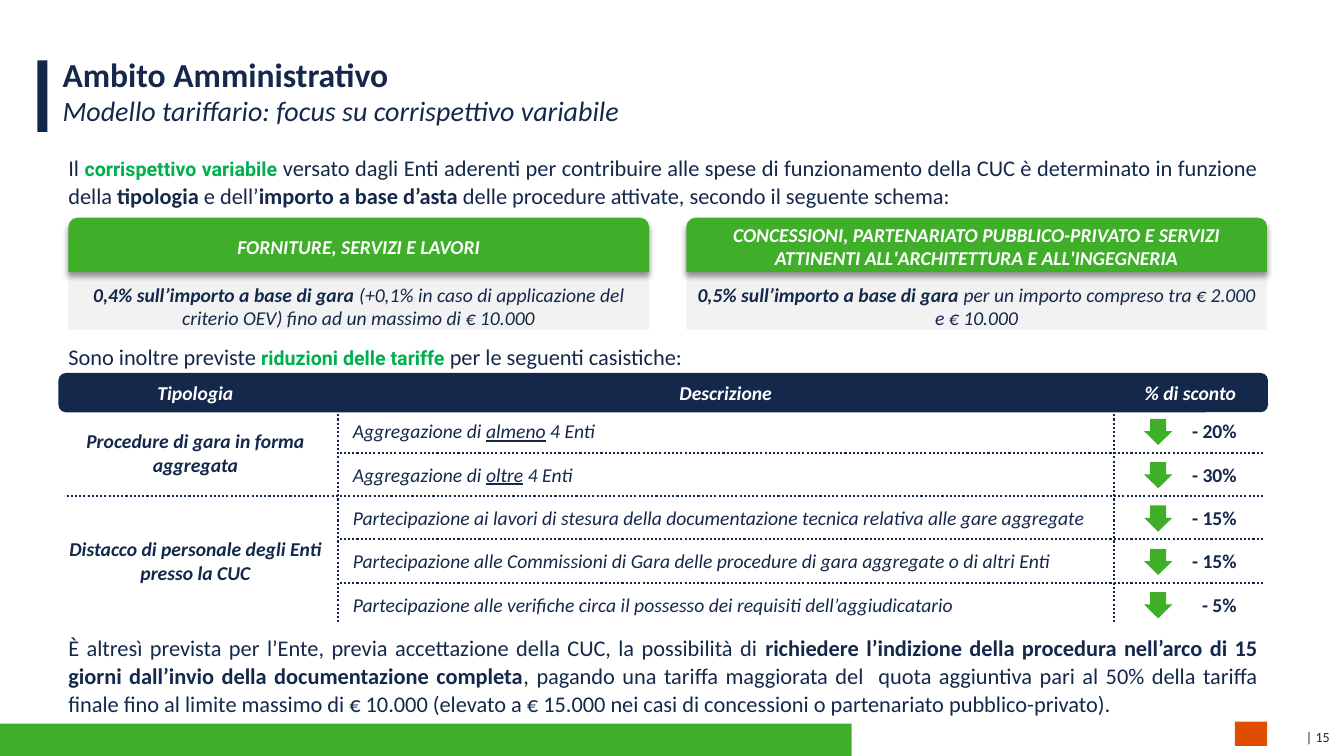
from dataclasses import dataclass

from lxml import etree
from pptx import Presentation
from pptx import util as u
from pptx.dml.color import RGBColor
from pptx.enum import dml, shapes, text
from pptx.oxml import ns


@dataclass(frozen=True)
class Theme:
    navy: str = "14284B"
    green: str = "3FAE29"
    accent: str = "00B050"
    pale: str = "F2F2F2"
    white: str = "FFFFFF"
    mark: str = "E04C00"
    font: str = "Calibri"
    accent_font: str = "Roboto"
    title: int = 24
    subtitle: int = 20
    body: int = 16
    label: int = 14
    footer: int = 10


theme = Theme()
STYLES = {
    "title": dict(size=theme.title, bold=True),
    "subtitle": dict(size=theme.subtitle, italic=True),
    "body": dict(size=theme.body),
    "strong": dict(size=theme.body, bold=True),
    "accent": dict(size=theme.label, bold=True, color=theme.accent, font=theme.accent_font),
    "head": dict(size=theme.label, bold=True, italic=True, color=theme.white),
    "key": dict(size=theme.label, bold=True, italic=True),
    "note": dict(size=theme.label, italic=True),
    "under": dict(size=theme.label, italic=True, underline=True),
    "value": dict(size=theme.label, bold=True),
    "footer": dict(size=theme.footer),
}

TITLE = ("Ambito Amministrativo", "title")
SUBTITLE = ("Modello tariffario: focus su corrispettivo variabile", "subtitle")
PAGE = [("| 15", "footer")]
PARAGRAPHS = [
    (1.47, 0.66, [
        ("Il ", "body"),
        ("corrispettivo variabile", "accent"),
        (" versato dagli Enti aderenti per contribuire alle spese di funzionamento della CUC "
         "è determinato in funzione della ", "body"),
        ("tipologia ", "strong"),
        ("e dell’", "body"),
        ("importo a base d’asta", "strong"),
        (" delle procedure attivate, secondo il seguente schema:", "body"),
    ]),
    (3.34, 0.38, [
        ("Sono inoltre previste ", "body"),
        ("riduzioni delle tariffe ", "accent"),
        ("per le seguenti casistiche:", "body"),
    ]),
    (6.23, 0.94, [
        ("È altresì prevista per l’Ente, previa accettazione della CUC, la possibilità di ", "body"),
        ("richiedere l’indizione della procedura nell’arco di 15 giorni dall’invio della "
         "documentazione completa", "strong"),
        (", pagando una tariffa maggiorata del  quota aggiuntiva pari al 50% della tariffa finale "
         "fino al limite massimo di € 10.000 (elevato a € 15.000 nei casi di concessioni o "
         "partenariato pubblico-privato).", "body"),
    ]),
]
CARDS = [
    ("FORNITURE, SERVIZI E LAVORI",
     "0,4% sull’importo a base di gara ",
     "(+0,1% in caso di applicazione del criterio OEV) fino ad un massimo di € 10.000"),
    ("CONCESSIONI, PARTENARIATO PUBBLICO-PRIVATO E SERVIZI ATTINENTI ALL'ARCHITETTURA E "
     "ALL'INGEGNERIA",
     "0,5% sull’importo a base di gara ",
     "per un importo compreso tra € 2.000 e € 10.000"),
]
HEADINGS = ["Tipologia", "Descrizione", "% di sconto"]
GROUPS = [
    ("Procedure di gara in forma aggregata", [
        ([("Aggregazione di ", "note"), ("almeno", "under"), (" 4 Enti", "note")], "- 20%"),
        ([("Aggregazione di ", "note"), ("oltre", "under"), (" 4 Enti", "note")], "- 30%"),
    ]),
    ("Distacco di personale degli Enti presso la CUC", [
        ([("Partecipazione ai lavori di stesura della documentazione tecnica relativa alle gare "
           "aggregate", "note")], "- 15%"),
        ([("Partecipazione alle Commissioni di Gara delle procedure di gara aggregate o di altri "
           "Enti", "note")], "- 15%"),
        ([("Partecipazione alle verifiche circa il possesso dei requisiti dell’aggiudicatario",
           "note")], "- 5%"),
    ]),
]

WIDTH, HEIGHT = 40 / 3, 7.5
LEFT, CONTENT = 0.58, 12
CARD_LEFT, CARD_TOP, CARD_WIDTH, CARD_STEP = 0.68, 2.16, 5.76, 6.13
TABLE_LEFT, TABLE_TOP, HEAD_ROW, ROW = 0.66, 3.74, 0.33, 0.43
COLUMNS = [2.69, 7.7, 1.48]
MARGINS = [(0.02, 0.15), (0.15, 0.15), (0.04, 0.26)]
HEAD_MARGINS = MARGINS[:2] + [(0.04, 0)]
RULE_TOP, RULE_START, RULE_END = 4.06, 4.11, 6.19
ARROW_X, ARROW_WIDTH, ARROW_HEIGHT = 11.35, 0.28, 0.26
PLAIN_TABLE = "{2D5ABB26-0587-4C30-8999-92F81FD0307C}"
ALIGN, ANCHOR, SHAPE = text.PP_ALIGN, text.MSO_ANCHOR, shapes.MSO_SHAPE


def add_run(paragraph, content, style):
    look = STYLES[style]
    run = paragraph.add_run()
    run.text = content
    run.font.size = u.Pt(look["size"])
    run.font.name = look.get("font", theme.font)
    run.font.bold = look.get("bold", False)
    run.font.italic = look.get("italic", False)
    run.font.underline = look.get("underline", False)
    run.font.color.rgb = RGBColor.from_string(look.get("color", theme.navy))


def add_runs(frame, runs, align):
    paragraph = frame.paragraphs[0]
    paragraph.alignment = align
    for content, style in runs:
        add_run(paragraph, content, style)
    return paragraph


def write(frame, runs, align=ALIGN.LEFT, anchor=ANCHOR.TOP, margins=(0.1, 0.05, 0.1, 0.05)):
    frame.word_wrap = True
    frame.vertical_anchor = anchor
    (frame.margin_left, frame.margin_top,
     frame.margin_right, frame.margin_bottom) = map(u.Inches, margins)
    return add_runs(frame, runs, align)


def write_cell(cell, runs, align, margins):
    cell.margin_left, cell.margin_right = map(u.Inches, margins)
    cell.margin_top = cell.margin_bottom = 0
    cell.vertical_anchor = ANCHOR.MIDDLE
    cell.fill.background()
    add_runs(cell.text_frame, runs, align)


def add_box(slide, *place):
    return slide.shapes.add_textbox(*map(u.Inches, place)).text_frame


def add_block(slide, kind, color, *place):
    shape = slide.shapes.add_shape(kind, *map(u.Inches, place))
    shape.shadow.inherit = False
    shape.fill.solid()
    shape.fill.fore_color.rgb = RGBColor.from_string(color)
    shape.line.fill.background()
    return shape


def add_shadow(shape):
    effects = shape._element.spPr.find(ns.qn("a:effectLst"))
    shadow = etree.SubElement(effects, ns.qn("a:outerShdw"), blurRad=str(u.Pt(4)),
                              dist=str(u.Pt(3)), dir="5400000", algn="t", rotWithShape="0")
    color = etree.SubElement(shadow, ns.qn("a:srgbClr"), val="000000")
    etree.SubElement(color, ns.qn("a:alpha"), val="40000")


def add_rule(slide, *ends):
    rule = slide.shapes.add_connector(shapes.MSO_CONNECTOR.STRAIGHT, *map(u.Inches, ends))
    rule.line.color.rgb = RGBColor.from_string(theme.navy)
    rule.line.width = u.Pt(1.5)
    rule.line.dash_style = dml.MSO_LINE.ROUND_DOT
    etree.SubElement(rule._element.spPr, ns.qn("a:effectLst"))


def add_title(slide):
    title = slide.shapes.title
    title.left, title.top, title.width, title.height = map(u.Inches, (LEFT, 0.53, CONTENT, 0.39))
    title.text_frame.auto_size = text.MSO_AUTO_SIZE.NONE
    paragraph = write(title.text_frame, [TITLE], margins=(0.04, 0, 0.04, 0))
    paragraph.add_line_break()
    add_run(paragraph, *SUBTITLE)


def add_cards(slide):
    for index, (heading, rate, detail) in enumerate(CARDS):
        left = CARD_LEFT + index * CARD_STEP
        panel = add_block(slide, SHAPE.RECTANGLE, theme.pale, left, 2.48, CARD_WIDTH, 0.79)
        write(panel.text_frame, [(rate, "key"), (detail, "note")],
              ALIGN.CENTER, ANCHOR.BOTTOM, (0.08, 0, 0.08, 0))
        banner = add_block(slide, SHAPE.ROUND_2_SAME_RECTANGLE, theme.green,
                           left, CARD_TOP, CARD_WIDTH, 0.54)
        add_shadow(banner)
        write(banner.text_frame, [(heading, "head")], ALIGN.CENTER, ANCHOR.MIDDLE, (0.04,) * 4)


def add_discounts(slide):
    header = add_block(slide, SHAPE.ROUNDED_RECTANGLE, theme.navy, LEFT, 3.7, CONTENT, 0.39)
    header.adjustments[0] = 0.19
    count = sum(len(rows) for _, rows in GROUPS)
    place = (TABLE_LEFT, TABLE_TOP, sum(COLUMNS), HEAD_ROW + count * ROW)
    table = slide.shapes.add_table(count + 1, len(COLUMNS), *map(u.Inches, place)).table
    table.first_row = table.horz_banding = False
    table._tbl.tblPr.find(ns.qn("a:tableStyleId")).text = PLAIN_TABLE
    for column, width in zip(table.columns, COLUMNS):
        column.width = u.Inches(width)
    for index, row in enumerate(table.rows):
        row.height = u.Inches(ROW if index else HEAD_ROW)
    for column, heading in enumerate(HEADINGS):
        write_cell(table.cell(0, column), [(heading, "head")], ALIGN.CENTER, HEAD_MARGINS[column])

    divider, right = TABLE_LEFT + COLUMNS[0], TABLE_LEFT + sum(COLUMNS)
    for x in (divider, divider + COLUMNS[1]):
        add_rule(slide, x, RULE_START, x, RULE_END)
    first = 1
    for kind, rows in GROUPS:
        last = first + len(rows) - 1
        table.cell(first, 0).merge(table.cell(last, 0))
        write_cell(table.cell(first, 0), [(kind, "key")], ALIGN.CENTER, MARGINS[0])
        for row, (description, discount) in enumerate(rows, first):
            write_cell(table.cell(row, 1), description, ALIGN.LEFT, MARGINS[1])
            write_cell(table.cell(row, 2), [(discount, "value")], ALIGN.RIGHT, MARGINS[2])
            middle = TABLE_TOP + HEAD_ROW + (row - 0.5) * ROW
            arrow = add_block(slide, SHAPE.DOWN_ARROW, theme.green, ARROW_X,
                              middle - ARROW_HEIGHT / 2, ARROW_WIDTH, ARROW_HEIGHT)
            arrow.adjustments[0], arrow.adjustments[1] = 0.57, 0.53
            if row < count:
                y = RULE_TOP + row * ROW
                add_rule(slide, TABLE_LEFT if row == last else divider + 0.02, y, right, y)
        first = last + 1


def main():
    presentation = Presentation()
    presentation.slide_width, presentation.slide_height = u.Inches(WIDTH), u.Inches(HEIGHT)
    slide = presentation.slides.add_slide(presentation.slide_layouts[5])
    add_block(slide, SHAPE.RECTANGLE, theme.green, 0, 7.18, 8.45, 0.32)
    add_block(slide, SHAPE.RECTANGLE, theme.navy, 0.37, 0.6, 0.1, 0.71)
    add_block(slide, SHAPE.RECTANGLE, theme.mark, 12.25, 7.16, 0.32, 0.24)
    write(add_box(slide, 10.13, 7.18, 3.16, 0.27), PAGE, ALIGN.RIGHT)
    add_title(slide)
    for top, height, runs in PARAGRAPHS:
        paragraph = write(add_box(slide, LEFT, top, CONTENT, height), runs, ALIGN.JUSTIFY)
        paragraph.line_spacing, paragraph.space_after = u.Pt(20), u.Pt(3)
    add_cards(slide)
    add_discounts(slide)
    presentation.save("out.pptx")


if __name__ == "__main__":
    main()
